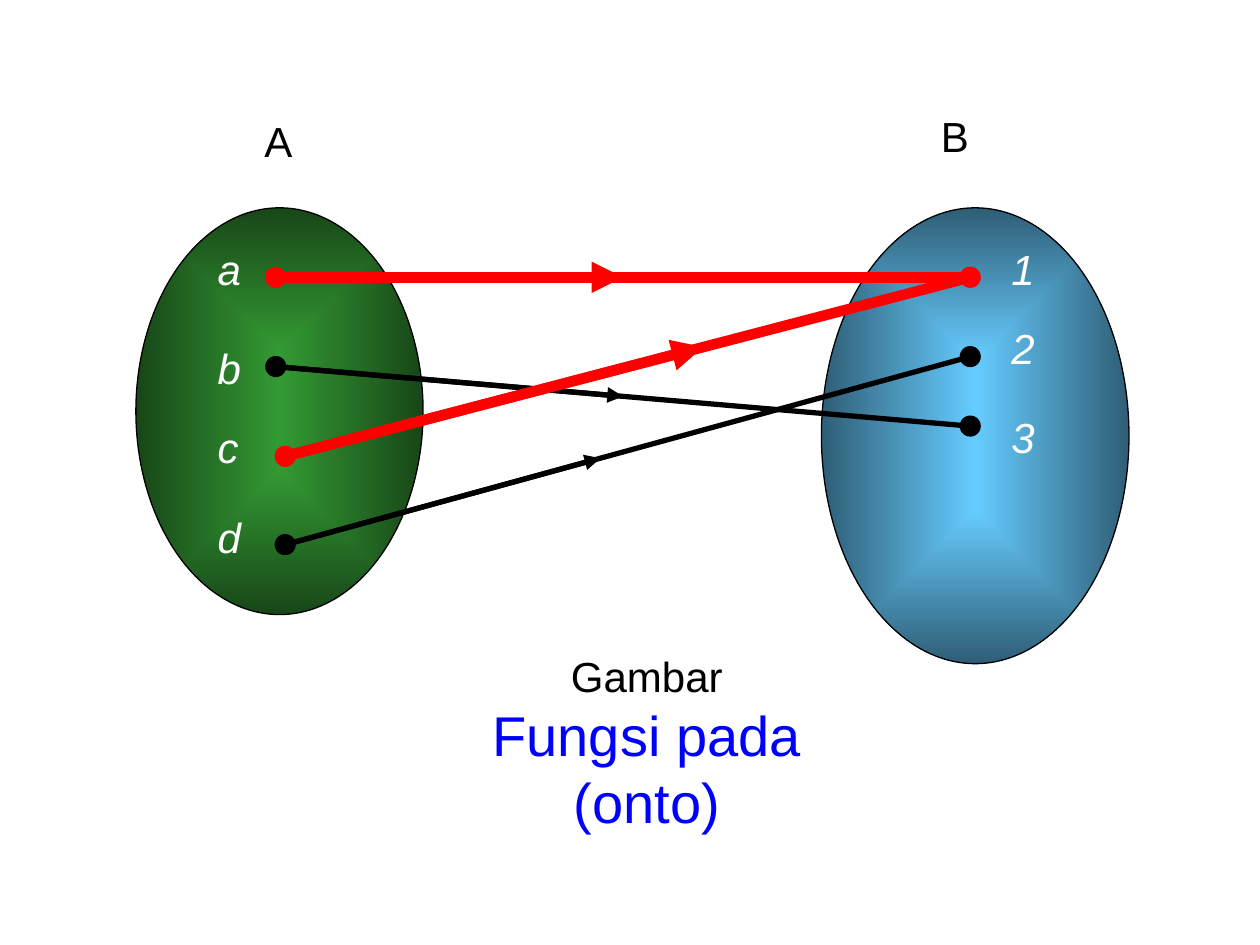
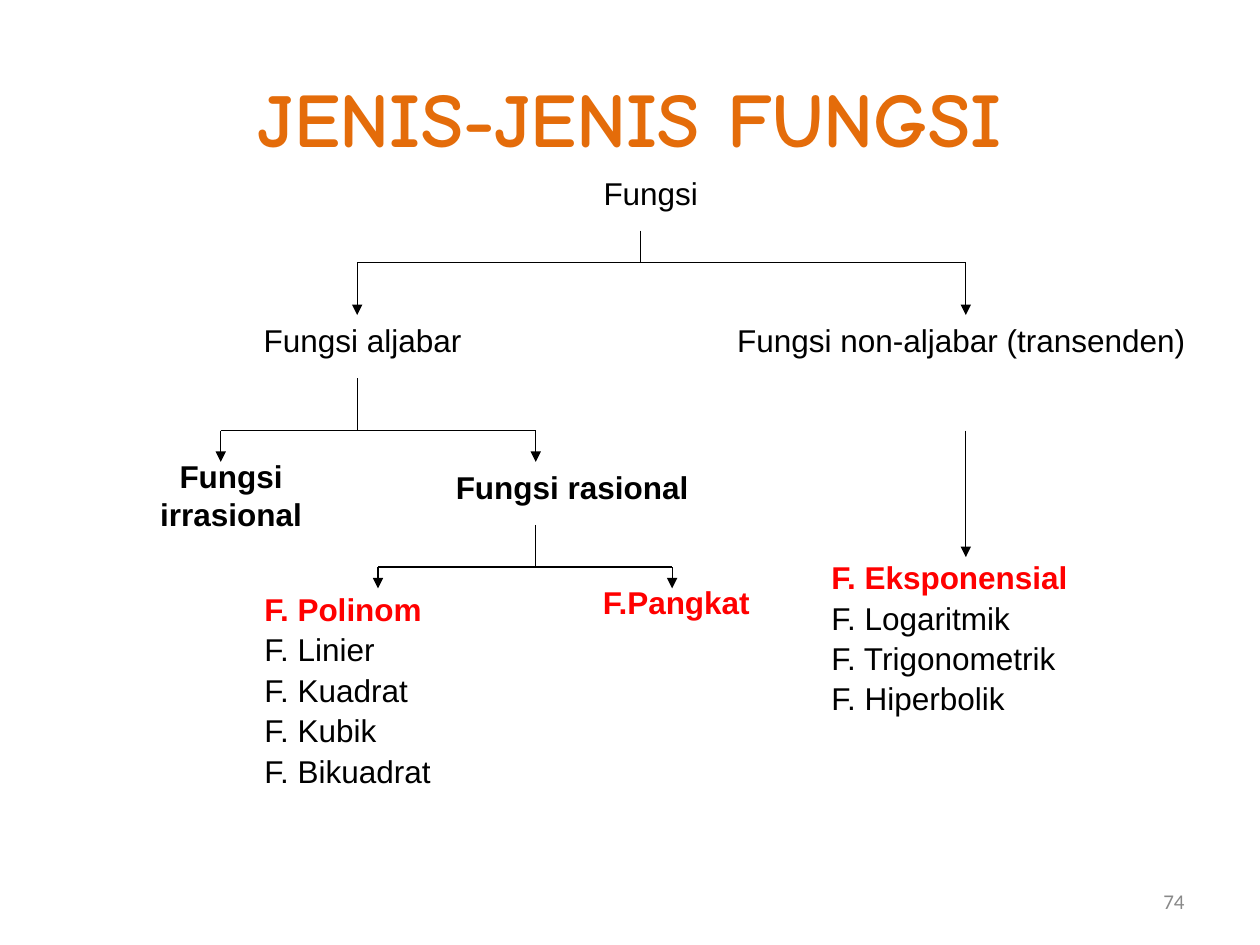
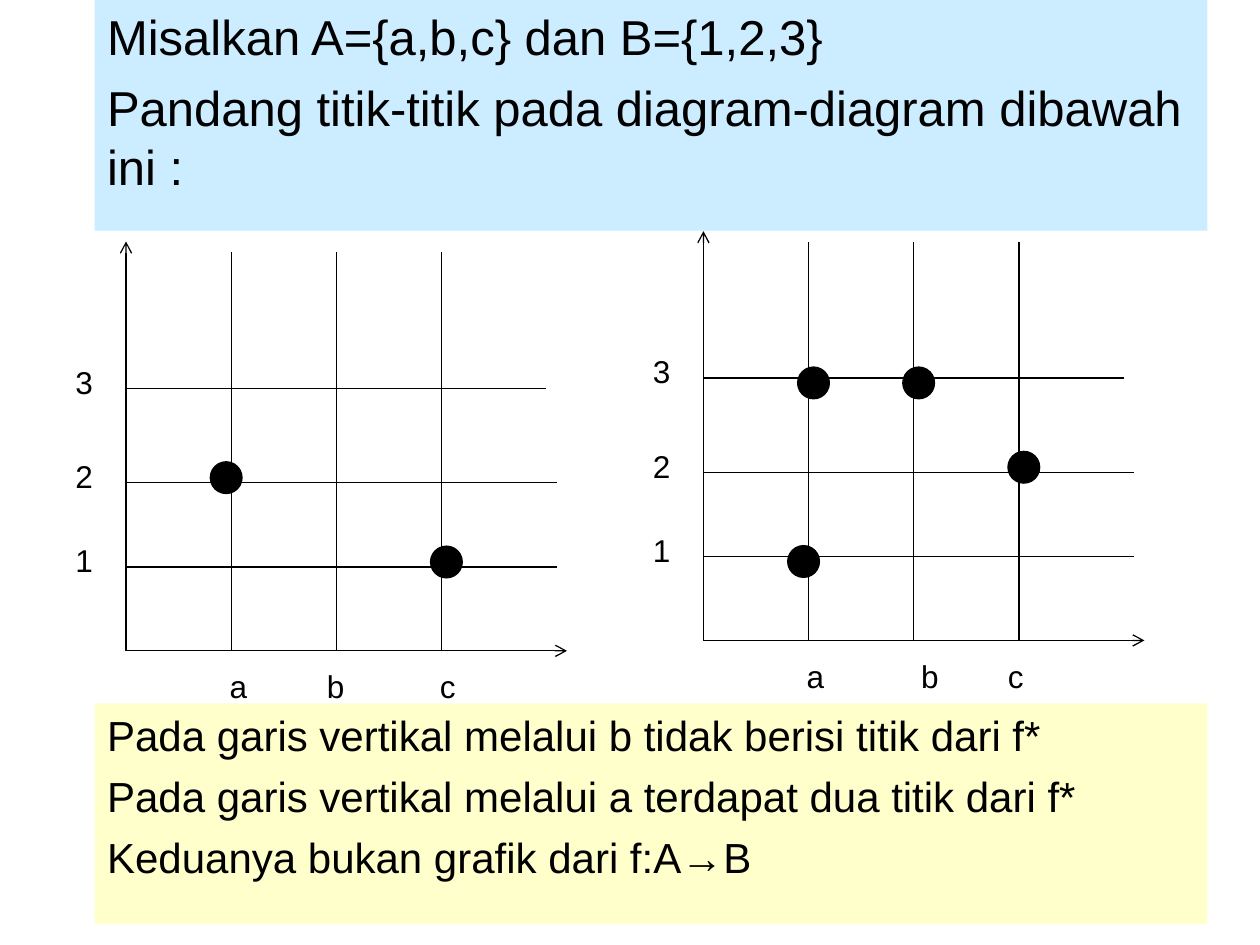
"""Build three slides on functions: an onto mapping, a family tree and two grids."""
from dataclasses import dataclass
from typing import NamedTuple

from pptx import Presentation
from pptx.dml.color import RGBColor
from pptx.enum.shapes import MSO_CONNECTOR, MSO_SHAPE
from pptx.enum.text import MSO_ANCHOR, PP_ALIGN
from pptx.oxml import parse_xml
from pptx.oxml.ns import nsdecls, qn
from pptx.util import Cm, Pt


class Style(NamedTuple):
    size: int
    color: str = "000000"
    bold: bool = False
    italic: bool = False
    font: str = "Arial"


@dataclass(frozen=True)
class Theme:
    black: str = "000000"
    red: str = "FF0000"
    green: tuple = ("339933", "184718")
    blue: tuple = ("66CCFF", "2F5E76")
    pale_blue: str = "CCECFF"
    pale_yellow: str = "FFFFCC"
    title: Style = Style(44, "E46C0A", bold=True, font="Comic Neue")
    page: Style = Style(12, "898989", font="Calibri")
    caption: Style = Style(32, "0000FF")
    large: Style = Style(28)
    medium: Style = Style(24)
    member: Style = Style(24, "FFFFFF", italic=True)
    node: Style = Style(18)
    strong: Style = Style(18, bold=True)
    accent: Style = Style(18, "FF0000", bold=True)


T = Theme()
THIN = 0.75


def rgb(color):
    return RGBColor.from_string(color)


def fill_text(tf, paragraphs, align=PP_ALIGN.LEFT, before=0, spacing=None):
    for i, (text, style) in enumerate(paragraphs):
        p = tf.add_paragraph() if i else tf.paragraphs[0]
        p.alignment = align
        p.space_before = Pt(before if i else 0)
        if spacing:
            p.line_spacing = spacing
        r = p.add_run()
        r.text = text
        r.font.name = style.font
        r.font.size = Pt(style.size)
        r.font.bold = style.bold
        r.font.italic = style.italic
        r.font.color.rgb = rgb(style.color)


def add_text(shapes, box, *paragraphs, wrap=True, anchor=MSO_ANCHOR.TOP, **layout):
    tf = shapes.add_textbox(*map(Cm, box)).text_frame
    tf.word_wrap = wrap
    tf.vertical_anchor = anchor
    fill_text(tf, paragraphs, **layout)
    return tf


def add_line(shapes, start, end, color=T.black, width=THIN, arrow=None):
    cx = shapes.add_connector(MSO_CONNECTOR.STRAIGHT, *map(Cm, (*start, *end)))
    cx.line.color.rgb = rgb(color)
    cx.line.width = Pt(width)
    spPr = cx._element.spPr
    if arrow:
        spPr.find(qn("a:ln")).append(
            parse_xml(f'<a:tailEnd {nsdecls("a")} type="{arrow}"/>'))
    spPr.append(parse_xml(f'<a:effectLst {nsdecls("a")}/>'))


def add_dot(shapes, center, size, color=T.black):
    x, y = center
    sp = shapes.add_shape(MSO_SHAPE.OVAL, *map(Cm, (x - size / 2, y - size / 2, size, size)))
    sp.shadow.inherit = False
    sp.fill.solid()
    sp.fill.fore_color.rgb = rgb(color)
    sp.line.color.rgb = rgb(color)
    sp.line.width = Pt(THIN)


def add_set(shapes, box, colors):
    sp = shapes.add_shape(MSO_SHAPE.OVAL, *map(Cm, box))
    sp.shadow.inherit = False
    sp.line.color.rgb = rgb(T.black)
    sp.line.width = Pt(THIN)
    sp.fill.gradient()
    for stop, color in zip(sp.fill.gradient_stops, colors):
        stop.color.rgb = rgb(color)
    grad = sp._element.spPr.find(qn("a:gradFill"))
    grad.replace(grad.find(qn("a:lin")), parse_xml(
        f'<a:path {nsdecls("a")} path="rect">'
        '<a:fillToRect l="50000" t="50000" r="50000" b="50000"/></a:path>'))


def add_band(shapes, box, color, style, before, lines):
    sp = shapes.add_shape(MSO_SHAPE.RECTANGLE, *map(Cm, box))
    sp.shadow.inherit = False
    sp.fill.solid()
    sp.fill.fore_color.rgb = rgb(color)
    sp.line.fill.background()
    sp.text_frame.vertical_anchor = MSO_ANCHOR.TOP
    fill_text(sp.text_frame, [(line, style) for line in lines], before=before)


def add_branch(shapes, stem_x, top, bar_y, children, tip_y):
    add_line(shapes, (stem_x, top), (stem_x, bar_y))
    add_line(shapes, (children[0], bar_y), (children[-1], bar_y))
    for x in children:
        add_line(shapes, (x, bar_y), (x, tip_y), arrow="triangle")


def add_grid(shapes, origin, dots, tabs):
    ox, oy = origin
    step, nudge = 2.12, 0.1
    levels = (1.69, 3.39, 5.29)
    add_line(shapes, origin, (ox, oy - 8.25), arrow="arrow")
    add_line(shapes, origin, (ox + 8.89, oy), arrow="arrow")
    for i, (level, length) in enumerate(zip(levels, (8.68, 8.68, 8.47)), 1):
        y = oy - level
        add_line(shapes, (ox, y), (ox + length, y))
        add_text(shapes, (ox - 1.27, y - 0.64, 1.27, 1.02), (str(i), T.node))
    for col in (1, 2, 3):
        x = ox + col * step
        add_line(shapes, (x, oy), (x, oy - 8.04))
    tf = add_text(shapes, (ox + 0.43, oy + 0.21, 7.42, 1.78), ("\ta\tb\tc", T.node))
    stops = "".join(f'<a:tab pos="{Cm(pos)}" algn="l"/>' for pos in tabs)
    tf.paragraphs[0]._p.get_or_add_pPr().append(
        parse_xml(f'<a:tabLst {nsdecls("a")}>{stops}</a:tabLst>'))
    for col, row, right, down in dots:
        center = (ox + col * step + right * nudge, oy - levels[row - 1] + down * nudge)
        add_dot(shapes, center, 0.64)


def onto_slide(shapes):
    add_set(shapes, (2.74, 4.19, 5.79, 8.2), T.green)
    add_set(shapes, (16.56, 4.19, 6.2, 9.19), T.blue)
    points = {
        "a": (5.56, 5.59, T.red), "b": (5.56, 7.39, T.black),
        "c": (5.75, 9.2, T.red), "d": (5.75, 10.98, T.black),
        "1": (19.56, 5.59, T.red), "2": (19.56, 7.19, T.black),
        "3": (19.56, 8.59, T.black),
    }
    for x, y, color in points.values():
        add_dot(shapes, (x, y), 0.4, color)
    mapping = (("a", "1", 6, 0.5), ("b", "3", 3, 0.5),
               ("d", "2", 3, 0.46), ("c", "1", 6, 0.61))
    for source, target, width, share in mapping:
        x1, y1, color = points[source]
        x2, y2, _ = points[target]
        middle = (x1 + share * (x2 - x1), y1 + share * (y2 - y1))
        add_line(shapes, (x1, y1), (x2, y2), color, width)
        add_line(shapes, (x1, y1), middle, color, width, "triangle")
    for name, x, y in (("A", 5.08, 2.21), ("B", 18.72, 2.11)):
        add_text(shapes, (x, y, 1.07, 1.27), (name, T.medium), wrap=False)
    columns = ((4.14, zip("abcd", (4.78, 6.78, 8.38, 10.19))),
               (20.14, zip("123", (4.78, 6.38, 8.18))))
    for x, members in columns:
        for name, y in members:
            add_text(shapes, (x, y, 0.97, 1.27), (name, T.member), wrap=False)
    add_text(shapes, (8.05, 12.98, 9.98, 2.64), ("Gambar", T.medium),
             ("Fungsi pada (onto)", T.caption), wrap=False, align=PP_ALIGN.CENTER)


def tree_slide(shapes):
    add_text(shapes, (1.27, 0.76, 22.86, 3.18), ("JENIS-JENIS FUNGSI", T.title),
             anchor=MSO_ANCHOR.MIDDLE, align=PP_ALIGN.CENTER)
    nodes = (
        ("Fungsi", T.node, (11.43, 3.38, 3.38, 1.02)),
        ("Fungsi aljabar", T.node, (4.45, 6.35, 5.72, 1.02)),
        ("Fungsi non-aljabar (transenden)", T.node, (14.4, 6.35, 9.96, 1.02)),
        ("Fungsi irrasional", T.strong, (2.97, 9.09, 3.38, 1.78)),
        ("Fungsi rasional", T.strong, (8.46, 9.32, 6.15, 1.02)),
        ("F.Pangkat", T.accent, (11.63, 11.63, 4.01, 1.02)),
    )
    for text, style, box in nodes:
        add_text(shapes, box, (text, style), align=PP_ALIGN.CENTER)
    families = (
        ((5.08, 12.07, 5.08, 4.88),
         ("F. Polinom", "F. Linier", "F. Kuadrat", "F. Kubik", "F. Bikuadrat")),
        ((16.51, 11.43, 7.82, 3.94),
         ("F. Eksponensial", "F. Logaritmik", "F. Trigonometrik", "F. Hiperbolik")),
    )
    for box, (first, *rest) in families:
        add_text(shapes, box, (first, T.accent), *((name, T.node) for name in rest),
                 before=11.2, spacing=0.55)
    add_branch(shapes, 12.91, 4.65, 5.29, (7.2, 19.47), 6.35)
    add_branch(shapes, 7.2, 7.62, 8.68, (4.45, 10.8), 9.31)
    add_branch(shapes, 10.8, 10.58, 11.43, (7.62, 13.55), 11.86)
    add_line(shapes, (19.47, 8.68), (19.47, 11.23), arrow="triangle")
    add_text(shapes, (18.21, 17.65, 5.92, 1.02), ("74", T.page),
             anchor=MSO_ANCHOR.MIDDLE, align=PP_ALIGN.RIGHT)


def grid_slide(shapes):
    add_band(shapes, (1.91, 0, 22.43, 4.65), T.pale_blue, T.large, 7, (
        "Misalkan A={a,b,c} dan B={1,2,3}",
        "Pandang titik-titik pada diagram-diagram dibawah ini :"))
    add_band(shapes, (1.91, 14.18, 22.43, 4.45), T.pale_yellow, T.medium, 6, (
        "Pada garis vertikal melalui b tidak berisi titik dari f*",
        "Pada garis vertikal melalui a terdapat dua titik dari f*",
        "Keduanya bukan grafik dari f:A→B"))
    add_grid(shapes.add_group_shape().shapes, (2.54, 13.12),
             ((1, 2, -1, -1), (3, 1, 1, -1)), (1.41, 3.37, 5.65))
    add_grid(shapes.add_group_shape().shapes, (14.18, 12.91),
             ((1, 3, 1, 1), (3, 2, 1, -1), (1, 1, -1, 1), (2, 3, 1, 1)),
             (1.4, 3.71, 5.46))


def main():
    prs = Presentation()
    prs.slide_width, prs.slide_height = Cm(25.4), Cm(19.05)
    for build in (onto_slide, tree_slide, grid_slide):
        build(prs.slides.add_slide(prs.slide_layouts[6]).shapes)
    prs.save("out.pptx")


if __name__ == "__main__":
    main()
